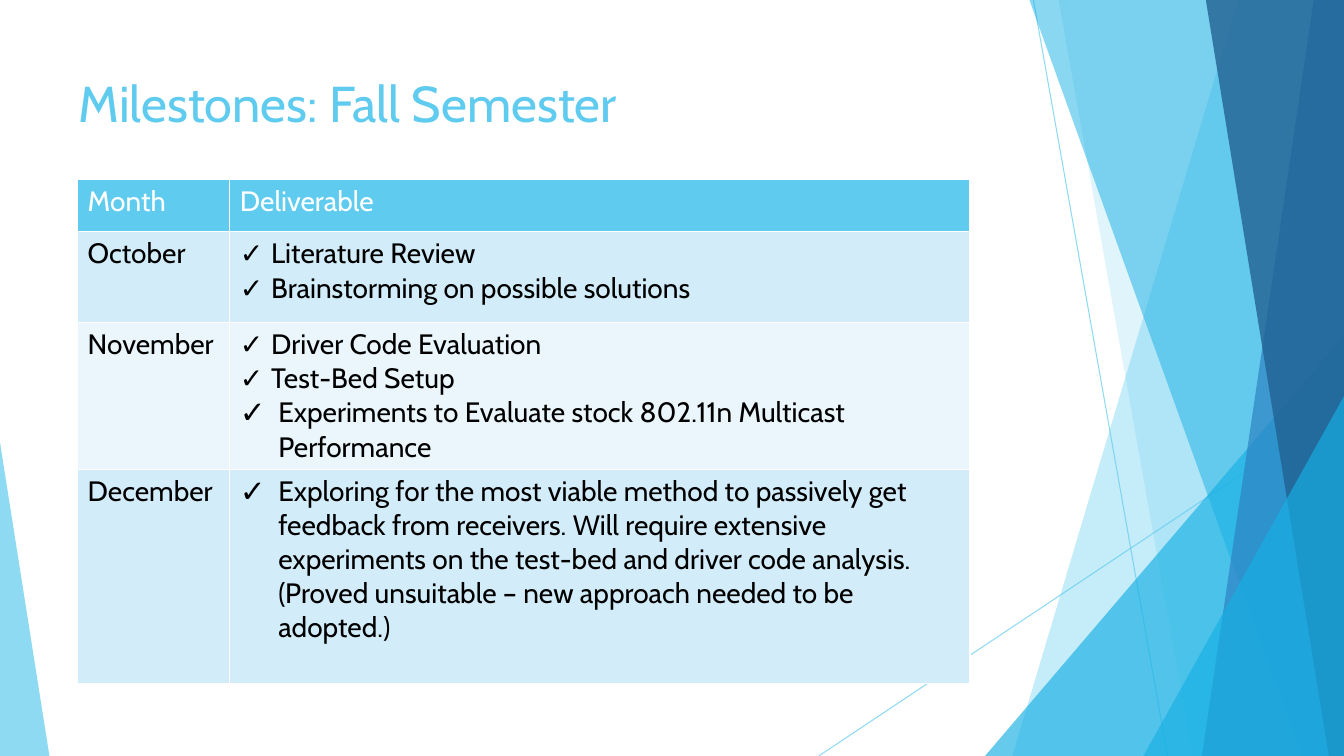
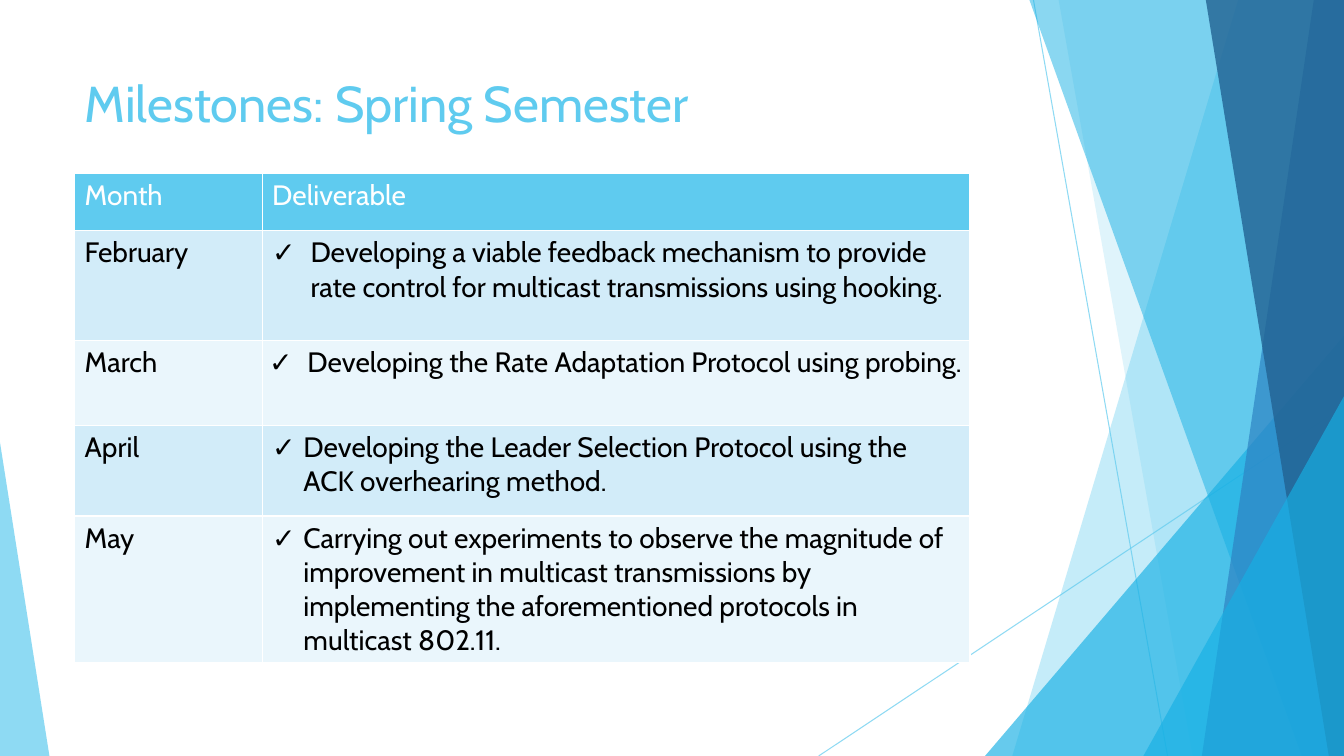
from dataclasses import dataclass

from lxml import etree
from pptx import Presentation
from pptx.dml.color import RGBColor
from pptx.enum.shapes import MSO_CONNECTOR, MSO_SHAPE, PP_PLACEHOLDER
from pptx.enum.text import MSO_ANCHOR, MSO_AUTO_SIZE, PP_ALIGN
from pptx.oxml.ns import qn
from pptx.util import Inches, Pt

STRAIGHT = MSO_CONNECTOR.STRAIGHT
TRIANGLE = MSO_SHAPE.ISOSCELES_TRIANGLE
TITLE = PP_PLACEHOLDER.TITLE
TOP = MSO_ANCHOR.TOP
LEFT = PP_ALIGN.LEFT
NO_AUTOFIT = MSO_AUTO_SIZE.NONE

WHITE = RGBColor(0xFF, 0xFF, 0xFF)
BLACK = RGBColor(0x00, 0x00, 0x00)
SKY = RGBColor(0x5F, 0xCB, 0xEF)
CYAN = RGBColor(0x17, 0xB0, 0xE4)
BLUE = RGBColor(0x2E, 0x83, 0xC3)
NAVY = RGBColor(0x22, 0x62, 0x92)
ROW_TINTS = (RGBColor(0xD2, 0xEC, 0xF9), RGBColor(0xEA, 0xF6, 0xFC))

SLIDE_W, SLIDE_H = 13.33, 7.5
FONT = "Cabin"
TITLE_FONT = {"name": FONT, "size": Pt(36), "bold": False}
CELL_FONT = {"name": FONT, "size": Pt(20), "bold": False}
TITLE_FRAME = {"word_wrap": True, "auto_size": NO_AUTOFIT, "vertical_anchor": TOP}
TIGHT_MARGINS = {"margin_left": Inches(0.07), "margin_right": Inches(0.07),
                 "margin_top": 0, "margin_bottom": 0}
NARROW, WIDE = 0.31, 0.38


@dataclass
class Ray:
    start: tuple[float, float]
    end: tuple[float, float]


@dataclass
class Band:
    """Panel from a slanted left edge to the right edge of the slide."""
    top_x: float
    bottom_x: float
    color: RGBColor
    opacity: int


@dataclass
class Wedge:
    """Triangle standing on the bottom edge; apex is 0 (left) to 1 (right)."""
    left: float
    top: float
    width: float
    apex: float
    color: RGBColor
    opacity: int


@dataclass
class Deliverable:
    text: str
    indent: float = NARROW
    bullet_percent: int = 100
    line_spacing: float = 1.0


@dataclass
class Month:
    name: str
    height: float
    deliverables: list[Deliverable]
    tight: bool = False


@dataclass
class Semester:
    title: str
    title_left: float
    title_height: float
    table_left: float
    table_top: float
    columns: tuple[float, float]
    header_height: float
    months: list[Month]


RAYS = [Ray((10.25, 0), (11.58, SLIDE_H)), Ray((SLIDE_W, 4.03), (8.12, SLIDE_H))]
PANES = [
    Band(12.28, 10.04, SKY, 36),
    Band(10.5, 11.83, SKY, 20),
    Wedge(9.77, 3.33, 3.56, 1, CYAN, 66),
    Band(10.21, 12.91, CYAN, 50),
    Band(13.03, 11.92, BLUE, 70),
    Band(11.96, 13.18, NAVY, 80),
    Wedge(11.34, 3.93, 1.99, 1, CYAN, 66),
    Wedge(0, 4.39, 0.49, 0, SKY, 70),
]

SEMESTERS = [
    Semester("Milestones: Fall Semester", 0.68, 0.9, 0.77, 1.78, (1.51, 7.34), 0.52, [
        Month("October", 0.9, [
            Deliverable("Literature Review"),
            Deliverable("Brainstorming on possible solutions"),
        ]),
        Month("November", 1.45, [
            Deliverable("Driver Code Evaluation"),
            Deliverable("Test-Bed Setup"),
            Deliverable("Experiments to Evaluate stock 802.11n Multicast Performance",
                        WIDE, 110),
        ]),
        Month("December", 2.13, [
            Deliverable("Exploring for the most viable method to passively get feedback "
                        "from receivers. Will require extensive experiments on the "
                        "test-bed and driver code analysis. (Proved unsuitable – new "
                        "approach needed to be adopted.)", WIDE, 110),
        ]),
    ]),
    Semester("Milestones: Spring Semester", 0.74, 1.44, 0.74, 1.72, (1.86, 7.02), 0.57, [
        Month("February", 1.09, [
            Deliverable("Developing a viable feedback mechanism to provide rate control "
                        "for multicast transmissions using hooking.", WIDE),
        ]),
        Month("March", 0.84, [
            Deliverable("Developing the Rate Adaptation Protocol using probing.",
                        WIDE, line_spacing=1.15),
        ], tight=True),
        Month("April", 0.9, [
            Deliverable("Developing the Leader Selection Protocol using the ACK "
                        "overhearing method."),
        ]),
        Month("May", 1.45, [
            Deliverable("Carrying out experiments to observe the magnitude of improvement "
                        "in multicast transmissions by implementing the aforementioned "
                        "protocols in multicast 802.11."),
        ]),
    ]),
]


def apply(target, values: dict) -> None:
    for attribute, value in values.items():
        setattr(target, attribute, value)


def set_opacity(shape, percent: int) -> None:
    for color in shape.element.spPr.iter(qn("a:srgbClr")):
        etree.SubElement(color, qn("a:alpha"), val=str(percent * 1000))


def draw_ray(shapes, ray: Ray):
    points = [Inches(value) for value in (*ray.start, *ray.end)]
    line = shapes.add_connector(STRAIGHT, *points)
    line.line.color.rgb = SKY
    line.line.width = Pt(0.75)
    set_opacity(line, 70)
    etree.SubElement(line.element.spPr, qn("a:effectLst"))
    return line


def draw_pane(shapes, pane: Band | Wedge):
    if isinstance(pane, Band):
        outline = shapes.build_freeform(Inches(pane.top_x), 0)
        corners = [(SLIDE_W, 0), (SLIDE_W, SLIDE_H), (pane.bottom_x, SLIDE_H)]
        outline.add_line_segments([(Inches(x), Inches(y)) for x, y in corners])
        shape = outline.convert_to_shape()
    else:
        shape = shapes.add_shape(TRIANGLE, Inches(pane.left), Inches(pane.top),
                                 Inches(pane.width), Inches(SLIDE_H - pane.top))
        shape.adjustments[0] = pane.apex
    shape.fill.solid()
    shape.fill.fore_color.rgb = pane.color
    shape.line.fill.background()
    shape.shadow.inherit = False
    set_opacity(shape, pane.opacity)
    return shape


def decorate_layout(layout, slide) -> None:
    """Draw the facets on a slide, then hand them to the layout all slides share."""
    for placeholder in list(layout.placeholders):
        if placeholder.placeholder_format.type != TITLE:
            layout.shapes.element.remove(placeholder.element)
    facets = [draw_ray(slide.shapes, ray) for ray in RAYS]
    facets += [draw_pane(slide.shapes, pane) for pane in PANES]
    for facet in facets:
        layout.shapes.element.append(facet.element)


def write_title(slide, semester: Semester) -> None:
    title = slide.shapes.title
    apply(title, {"left": Inches(semester.title_left), "top": Inches(0.67),
                  "width": Inches(9.4), "height": Inches(semester.title_height)})
    title.text = semester.title
    apply(title.text_frame, TITLE_FRAME)
    paragraph = title.text_frame.paragraphs[0]
    paragraph.alignment = LEFT
    apply(paragraph.font, TITLE_FONT)
    paragraph.font.color.rgb = SKY


def style_cell(cell, fill: RGBColor, color: RGBColor) -> None:
    for paragraph in cell.text_frame.paragraphs:
        for run in paragraph.runs:
            apply(run.font, CELL_FONT)
            run.font.color.rgb = color
    properties = cell._tc.get_or_add_tcPr()
    for side in ("a:lnL", "a:lnR", "a:lnT", "a:lnB"):
        border = etree.SubElement(properties, qn(side), w=str(Pt(1)))
        solid = etree.SubElement(border, qn("a:solidFill"))
        etree.SubElement(solid, qn("a:srgbClr"), val=str(WHITE))
    cell.fill.solid()
    cell.fill.fore_color.rgb = fill


def format_check(paragraph, item: Deliverable) -> None:
    """Give the paragraph a check-mark bullet with a hanging indent."""
    properties = paragraph._p.get_or_add_pPr()
    indent = Inches(item.indent)
    properties.set("marL", str(indent))
    properties.set("indent", str(-indent))
    etree.SubElement(properties, qn("a:buSzPct"), val=str(item.bullet_percent * 1000))
    etree.SubElement(properties, qn("a:buFont"), typeface=FONT)
    etree.SubElement(properties, qn("a:buChar"), char="✓")
    paragraph.line_spacing = item.line_spacing


def draw_schedule(slide, semester: Semester) -> None:
    heights = [semester.header_height, *(month.height for month in semester.months)]
    table = slide.shapes.add_table(
        len(heights), len(semester.columns),
        Inches(semester.table_left), Inches(semester.table_top),
        Inches(sum(semester.columns)), Inches(sum(heights))).table
    for column, width in zip(table.columns, semester.columns):
        column.width = Inches(width)
    for row, height in zip(table.rows, heights):
        row.height = Inches(height)
    for column, heading in enumerate(("Month", "Deliverable")):
        cell = table.cell(0, column)
        cell.text = heading
        style_cell(cell, SKY, WHITE)
    for index, month in enumerate(semester.months):
        name_cell, work_cell = table.cell(index + 1, 0), table.cell(index + 1, 1)
        name_cell.text = month.name
        work_cell.text = "\n".join(item.text for item in month.deliverables)
        for paragraph, item in zip(work_cell.text_frame.paragraphs, month.deliverables):
            format_check(paragraph, item)
        if month.tight:
            apply(work_cell, TIGHT_MARGINS)
        for cell in (name_cell, work_cell):
            style_cell(cell, ROW_TINTS[index % len(ROW_TINTS)], BLACK)


def main() -> None:
    deck = Presentation()
    deck.slide_width, deck.slide_height = Inches(SLIDE_W), Inches(SLIDE_H)
    title_only = deck.slide_layouts[5]
    slides = [deck.slides.add_slide(title_only) for _ in SEMESTERS]
    decorate_layout(title_only, slides[0])
    for slide, semester in zip(slides, SEMESTERS):
        write_title(slide, semester)
        draw_schedule(slide, semester)
    deck.save("out.pptx")


if __name__ == "__main__":
    main()
